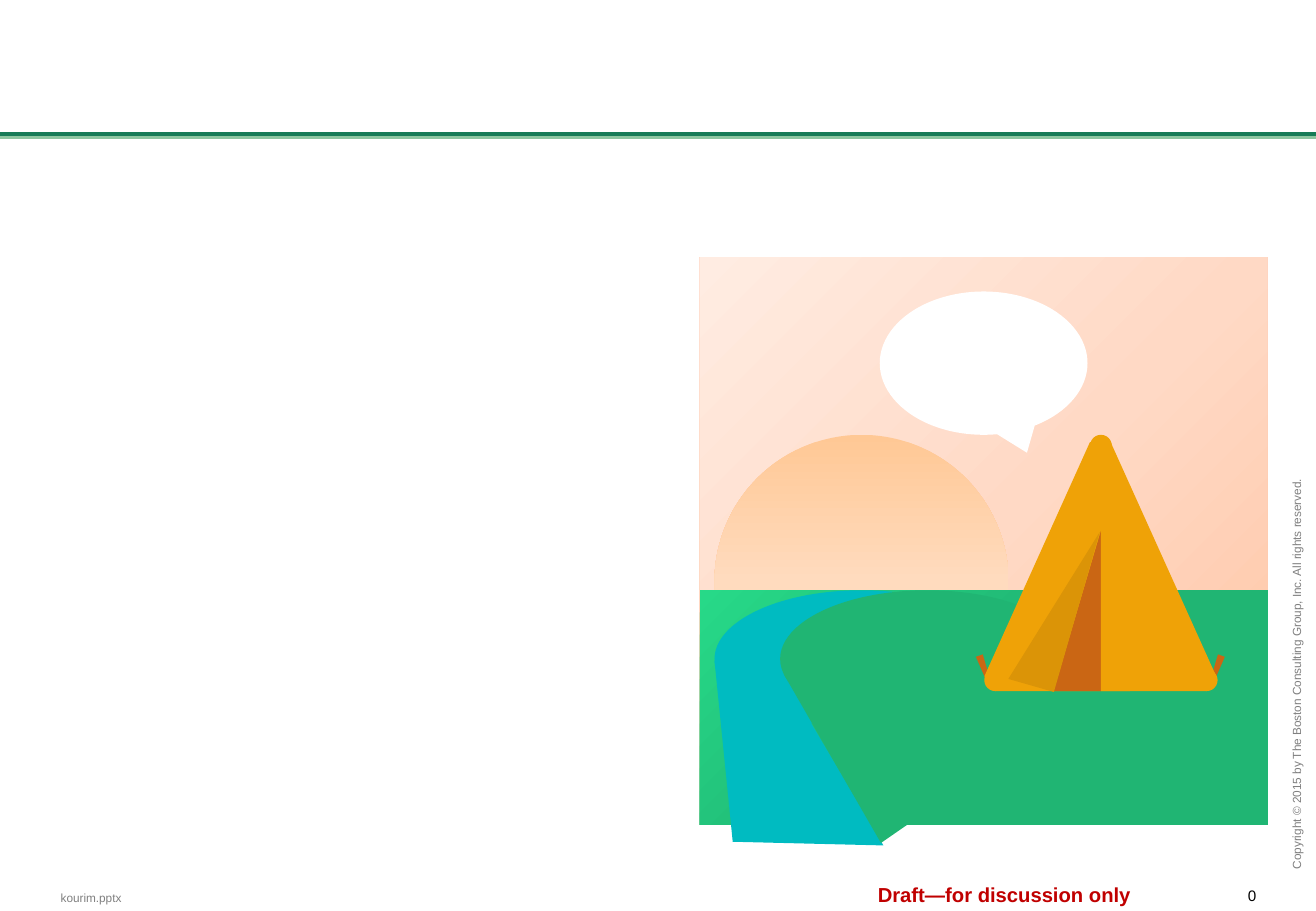
"""Build a slide with a camping scene under a ruled header."""
from dataclasses import dataclass

from lxml import etree
from pptx import Presentation, util as u
from pptx.dml.color import RGBColor
from pptx.enum import shapes, text
from pptx.oxml.ns import nsdecls, qn


@dataclass(frozen=True)
class Theme:
    font: str = "Arial"
    small: int = 7
    page: int = 9
    stamp: int = 12
    grey: str = "808080"
    black: str = "000000"
    red: str = "C00000"
    rule: str = "177B57"
    rule_shadow: str = "8EC6A1"
    sky: tuple = ("FFC4A2", "FFD9C5", "FFECE2")
    sun: tuple = ("FFC895", "FFDBBE", "FFEDDF")
    meadow: tuple = ("20B573", "20B573", "27D988")
    water: str = "00BBC1"
    grass: str = "20B573"
    canvas: str = "EFA207"
    flap: str = "DB9407"
    wood: str = "CA6614"
    white: str = "FFFFFF"


T = Theme()
M = shapes.MSO_SHAPE
A = text.MSO_ANCHOR
P = text.PP_ALIGN
WIDTH, HEIGHT = 10.83, 7.5
RULE_Y = 1.1
SCENE_LEFT, SCENE_TOP = 5.76, 2.12
CELL = u.Inches(0.01)
SKY_DIRECTION = '<a:lin ang="13500000" scaled="0"/>'
SUN_DIRECTION = '<a:lin ang="5400000" scaled="0"/>'
MEADOW_DIRECTION = '<a:path path="circle"><a:fillToRect l="100000" t="100000"/></a:path>'

LABELS = [
    dict(words="kourim.pptx", box=(0.5, 7.33, 0.7, 0.12), size=T.small,
         color=T.grey, anchor=A.MIDDLE),
    dict(words="0", box=(10.13, 7.3, 0.21, 0.14), size=T.page,
         color=T.black, align=P.RIGHT),
    dict(words="Draft—for discussion only", box=(7.19, 7.26, 2.15, 0.2),
         size=T.stamp, color=T.red, align=P.CENTER, bold=True),
    dict(words="Copyright © 2015 by The Boston Consulting Group, Inc. All rights reserved.",
         box=(8.17, 4.65, 4.99, 0.22), size=T.small, color=T.grey,
         anchor=A.BOTTOM, turn=270, inset=(0.1, 0.05), wrap=True),
]

# Scene entries: preset or None for an outline, grid cells, fill, options.
SCENE = [
    (M.RECTANGLE, (0, 0, 467, 467), T.sky, dict(direction=SKY_DIRECTION)),
    (M.OVAL, (12, 146, 242, 242), T.sun, dict(direction=SUN_DIRECTION)),
    (M.RECTANGLE, (0, 274, 467, 193), T.meadow, dict(direction=MEADOW_DIRECTION)),
    (M.OVAL, (12, 274, 242, 113), T.water, {}),
    (M.OVAL, (66, 274, 242, 113), T.grass, {}),
    (None, [(12, 332), (27, 481), (151, 484), (63, 335)], T.water, {}),
    (None, [(149, 482), (69, 343), (103, 325), (203, 341), (227, 428)], T.grass, {}),
    (M.OVAL, (321, 146, 18, 18), T.canvas, {}),
    (M.TRAPEZOID, (231, 327, 6, 24), T.wood, dict(turn=160)),
    (M.TRAPEZOID, (422, 327, 6, 24), T.wood, dict(turn=200)),
    (M.ISOSCELES_TRIANGLE, (243, 164, 174, 193), T.canvas, {}),
    (M.OVAL, (234, 339, 18, 18), T.canvas, {}),
    (M.OVAL, (408, 339, 18, 18), T.canvas, {}),
    (None, [(321, 152), (338, 152), (425, 345), (234, 345)], T.canvas, {}),
    (M.RIGHT_TRIANGLE, (291, 225, 39, 132), T.wood, dict(flip=True)),
    (M.RECTANGLE, (330, 209, 24, 148), T.canvas, {}),
    (M.RIGHT_TRIANGLE, (272, 218, 39, 137), T.flap, dict(turn=16, flip=True)),
    (M.OVAL_CALLOUT, (148, 28, 171, 118), T.white, dict(flip=True)),
]


def add_label(s, words, box, size, color, align=P.LEFT, anchor=A.TOP,
              bold=False, turn=0, inset=(0, 0), wrap=False):
    sp = s.shapes.add_textbox(*map(u.Inches, box))
    sp.rotation = turn
    tf = sp.text_frame
    tf.word_wrap = wrap
    tf.vertical_anchor = anchor
    tf.margin_left = tf.margin_right = u.Inches(inset[0])
    tf.margin_top = tf.margin_bottom = u.Inches(inset[1])
    tf.text = words
    p = tf.paragraphs[0]
    p.alignment = align
    font = p.runs[0].font
    font.name, font.size, font.bold = T.font, u.Pt(size), bold
    font.color.rgb = RGBColor.from_string(color)


def add_rule(s):
    y = u.Inches(RULE_Y)
    rule = s.shapes.add_connector(
        shapes.MSO_CONNECTOR.STRAIGHT, u.Inches(WIDTH), y, 0, y)
    rule.line.color.rgb = RGBColor.from_string(T.rule)
    rule.line.width = u.Pt(2.25)
    rule._element.spPr.append(etree.fromstring(
        f'<a:effectLst {nsdecls("a")}><a:outerShdw blurRad="0" dist="{u.Pt(2)}" '
        f'dir="5400000" algn="t" rotWithShape="0"><a:srgbClr val="{T.rule_shadow}"/>'
        '</a:outerShdw></a:effectLst>'))


def fill_gradient(sp, colors, direction):
    stops = "".join(f'<a:gs pos="{i * 50000}"><a:srgbClr val="{c}"/></a:gs>'
                    for i, c in enumerate(colors))
    geometry = sp._element.spPr.find(qn("a:prstGeom"))
    geometry.addnext(etree.fromstring(
        f'<a:gradFill {nsdecls("a")} rotWithShape="1"><a:gsLst>{stops}</a:gsLst>'
        f'{direction}</a:gradFill>'))


def add_part(s, preset, cells, color, turn=0, flip=False, direction=None):
    left, top = u.Inches(SCENE_LEFT), u.Inches(SCENE_TOP)
    if preset is None:
        outline = s.shapes.build_freeform(*cells[0], scale=CELL)
        outline.add_line_segments(cells[1:], close=True)
        sp = outline.convert_to_shape(left, top)
    else:
        x, y, w, h = (n * CELL for n in cells)
        sp = s.shapes.add_shape(preset, left + x, top + y, w, h)
    sp.shadow.inherit = False
    sp.line.fill.background()
    sp.rotation = turn
    if flip:
        sp._element.spPr.xfrm.set("flipH", "1")
    if direction:
        fill_gradient(sp, color, direction)
    else:
        sp.fill.solid()
        sp.fill.fore_color.rgb = RGBColor.from_string(color)


def main():
    prs = Presentation()
    prs.slide_width, prs.slide_height = u.Inches(WIDTH), u.Inches(HEIGHT)
    s = prs.slides.add_slide(prs.slide_layouts[6])
    add_rule(s)
    for label in LABELS:
        add_label(s, **label)
    for preset, cells, color, options in SCENE:
        add_part(s, preset, cells, color, **options)
    prs.save("out.pptx")


if __name__ == "__main__":
    main()
